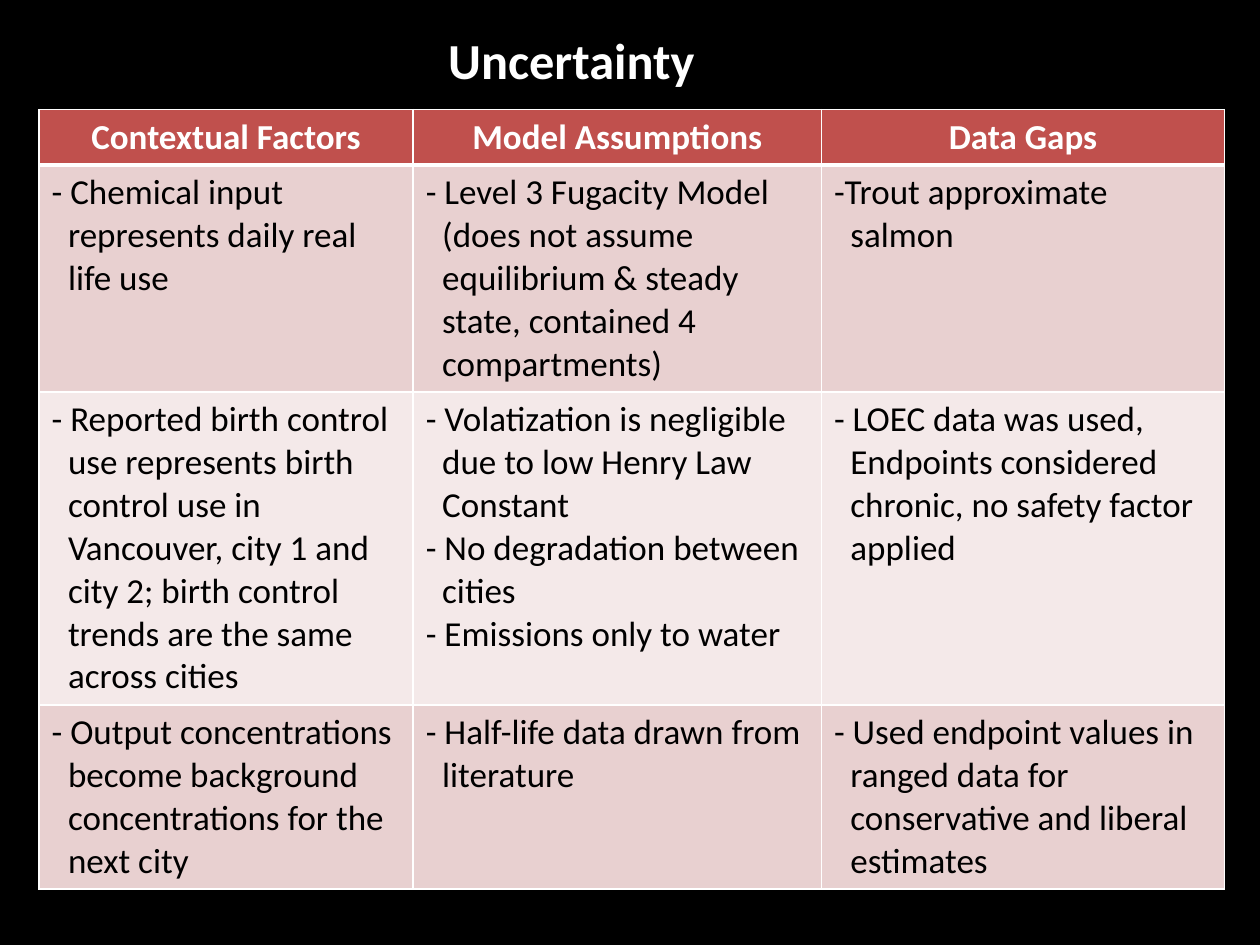
"""Build the Uncertainty slide: a title above a three-column table."""
from lxml import etree
from pptx import Presentation
from pptx import util as u
from pptx.dml.color import RGBColor
from pptx.enum import text
from pptx.oxml import ns

THEME = {
    "font": "Calibri", "title": 28.8, "body": 20,
    "back": "000000", "light": "FFFFFF", "dark": "000000",
    "head": "C0504D", "bands": ("F4E9E9", "E8D0D0"),
}
TITLE = "Uncertainty"
HEADS = ["Contextual Factors", "Model Assumptions", "Data Gaps"]
ROWS = [
    [
        ["- Chemical input\nrepresents daily real\nlife use"],
        ["- Level 3 Fugacity Model\n(does not assume\nequilibrium & steady\n"
         "state, contained 4\ncompartments)"],
        ["-Trout approximate\nsalmon"],
    ],
    [
        ["- Reported birth control\nuse represents birth\ncontrol use in\n"
         "Vancouver, city 1 and\ncity 2; birth control\ntrends are the same\n"
         "across cities"],
        ["- Volatization is negligible\ndue to low Henry Law\nConstant",
         "- No degradation between\ncities",
         "- Emissions only to water"],
        ["- LOEC data was used,\nEndpoints considered\n"
         "chronic, no safety factor\napplied"],
    ],
    [
        ["- Output concentrations\nbecome background\n"
         "concentrations for the\nnext city"],
        ["- Half-life data drawn from\nliterature"],
        ["- Used endpoint values in\nranged data for\n"
         "conservative and liberal\nestimates"],
    ],
]
WIDTHS = [2.97, 3.24, 3.2]
HEIGHTS = [0.43, 1.8, 2.48, 1.46]
LEFT, TOP, HANG = 0.31, 0.87, 0.13


def color(name):
    return RGBColor.from_string(name)


def style(para, size, tint, bold):
    font = para.font
    font.name, font.size, font.bold = THEME["font"], u.Pt(size), bold
    font.color.rgb = color(tint)


def edge(cell, side, width):
    line = etree.SubElement(cell._tc.get_or_add_tcPr(), ns.qn(f"a:ln{side}"),
                            w=str(u.Pt(width)))
    fill = etree.SubElement(line, ns.qn("a:solidFill"))
    etree.SubElement(fill, ns.qn("a:srgbClr"), val=THEME["light"])


def fill_cell(cell, paras, row):
    head = row == 0
    widths = {"L": 1, "R": 1, "T": 3 if row == 1 else 1, "B": 3 if head else 1}
    for side, width in widths.items():
        edge(cell, side, width)
    cell.fill.solid()
    cell.fill.fore_color.rgb = color(THEME["head"] if head else THEME["bands"][row % 2])
    frame = cell.text_frame
    for i, words in enumerate(paras):
        para = frame.add_paragraph() if i else frame.paragraphs[0]
        para.text = words
        if head:
            para.alignment = text.PP_ALIGN.CENTER
        else:
            props = para._p.get_or_add_pPr()
            props.set("marL", str(u.Inches(HANG)))
            props.set("indent", str(-u.Inches(HANG)))
        style(para, THEME["body"], THEME["light" if head else "dark"], head)


def add_title(slide):
    title = slide.shapes.title
    title.left, title.top = u.Inches(0.5), u.Inches(0.3)
    title.width, title.height = u.Inches(8.07), u.Inches(0.34)
    frame = title.text_frame
    frame.text = TITLE
    frame.auto_size = text.MSO_AUTO_SIZE.NONE
    frame.vertical_anchor = text.MSO_ANCHOR.MIDDLE
    para = frame.paragraphs[0]
    para.alignment = text.PP_ALIGN.CENTER
    style(para, THEME["title"], THEME["light"], True)


def add_grid(slide):
    grid = [[[head] for head in HEADS]] + ROWS
    table = slide.shapes.add_table(
        len(grid), len(HEADS), u.Inches(LEFT), u.Inches(TOP),
        u.Inches(sum(WIDTHS)), u.Inches(sum(HEIGHTS))).table
    for col, width in zip(table.columns, WIDTHS):
        col.width = u.Inches(width)
    for r, (cells, height) in enumerate(zip(grid, HEIGHTS)):
        table.rows[r].height = u.Inches(height)
        for c, paras in enumerate(cells):
            fill_cell(table.cell(r, c), paras, r)


def main():
    deck = Presentation()
    deck.slide_width, deck.slide_height = u.Inches(10), u.Inches(7.5)
    slide = deck.slides.add_slide(deck.slide_layouts[5])
    back = slide.background.fill
    back.solid()
    back.fore_color.rgb = color(THEME["back"])
    add_title(slide)
    add_grid(slide)
    deck.save("out.pptx")


if __name__ == "__main__":
    main()
